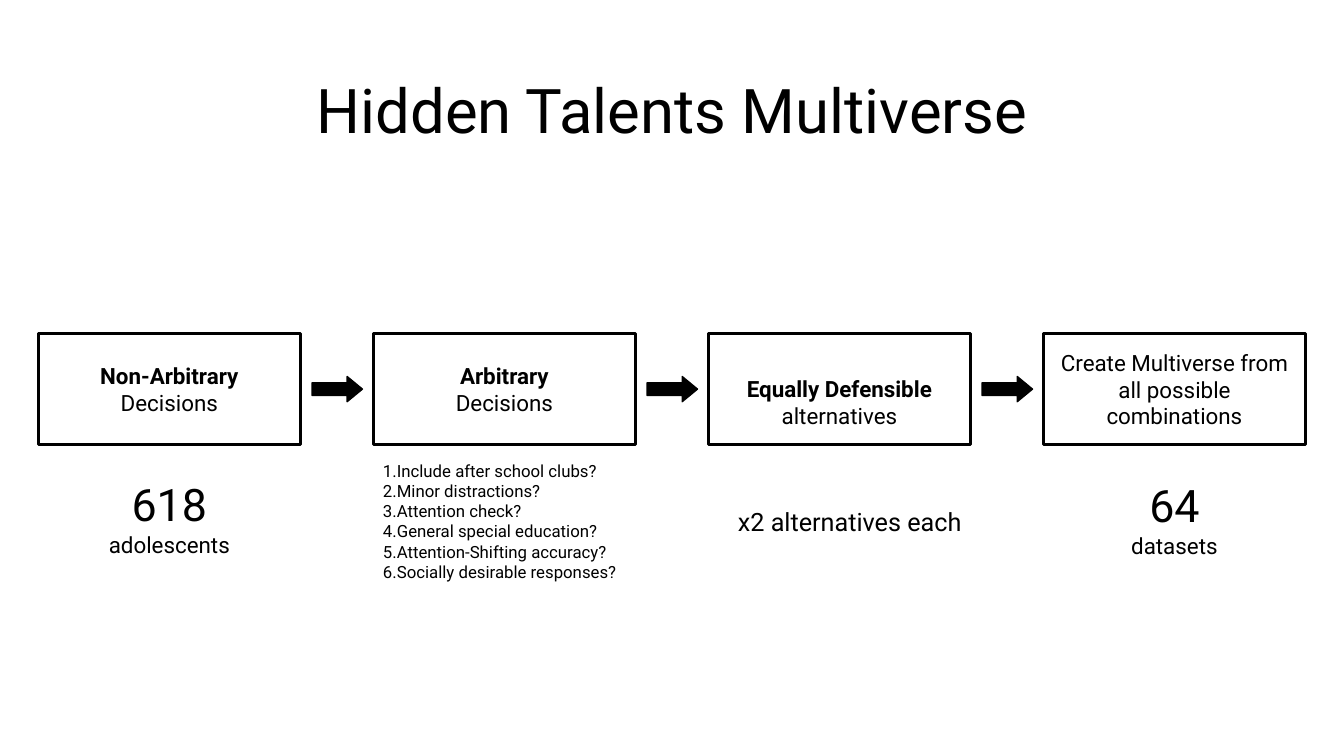
import pptx
import pptx.util
import pptx.dml.color
import pptx.enum.shapes
import pptx.enum.text
import pptx.oxml

Inches = pptx.util.Inches
Pt = pptx.util.Pt
SHAPES = pptx.enum.shapes.MSO_SHAPE
ALIGN = pptx.enum.text.PP_ALIGN
ANCHOR = pptx.enum.text.MSO_ANCHOR
AUTO_SIZE = pptx.enum.text.MSO_AUTO_SIZE

FONT = "Roboto"
COLORS = {"ink": "000000", "paper": "FFFFFF"}
NUMBERING = ('<a:buAutoNum xmlns:a="http://schemas.openxmlformats.org/'
             'drawingml/2006/main" type="arabicPeriod"/>')

STEP_LEFT, STEP_PITCH = 0.38, 3.323
STEP_TOP, STEP_WIDTH, STEP_HEIGHT = 3.31, 2.6, 1.1
BLANK_LINE = 0.26

# Each step is a list of lines: text, bold
STEPS = [
    [("Non-Arbitrary", True), ("Decisions", False)],
    [("Arbitrary", True), ("Decisions", False)],
    [("Equally Defensible", True), ("alternatives", False)],
    [("Create Multiverse from all possible combinations", False)],
]
QUESTIONS = [
    "Include after school clubs?",
    "Minor distractions?",
    "Attention check?",
    "General special education?",
    "Attention-Shifting accuracy?",
    "Socially desirable responses?",
]


def color(name):
    return pptx.dml.color.RGBColor.from_string(COLORS[name])


def write_lines(frame, lines, align):
    """Write one paragraph for each line of text, size and bold."""
    for index, (text, size, bold) in enumerate(lines):
        para = frame.paragraphs[0] if index == 0 else frame.add_paragraph()
        para.alignment = align
        span = para.add_run()
        span.text = text
        span.font.name = FONT
        span.font.size = Pt(size)
        span.font.bold = bold
        span.font.color.rgb = color("ink")


def add_text(page, left, top, width, height, lines, align=ALIGN.LEFT):
    box = page.shapes.add_textbox(Inches(left), Inches(top), Inches(width), Inches(height))
    box.text_frame.word_wrap = True
    write_lines(box.text_frame, lines, align)
    return box.text_frame


def add_block(page, kind, left, top, width, height, fill, line_width=None):
    block = page.shapes.add_shape(
        kind, Inches(left), Inches(top), Inches(width), Inches(height))
    block.shadow.inherit = False
    block.fill.solid()
    block.fill.fore_color.rgb = color(fill)
    if line_width is None:
        block.line.fill.background()
    else:
        block.line.color.rgb = color("ink")
        block.line.width = Pt(line_width)
    return block


def add_title(page, left, top, width, height):
    frame = add_text(page, left, top, width, height,
                     [("Hidden Talents Multiverse", 44, False)], ALIGN.CENTER)
    frame.vertical_anchor = ANCHOR.MIDDLE
    frame.paragraphs[0].line_spacing = 0.9


def add_step(page, left, top, lines):
    step = add_block(page, SHAPES.RECTANGLE, left, top, STEP_WIDTH, STEP_HEIGHT, "paper", 2.25)
    write_lines(step.text_frame, [(text, 16, bold) for text, bold in lines], ALIGN.CENTER)
    return step.text_frame


def add_step_arrow(page, left, top):
    arrow = add_block(page, SHAPES.DOWN_ARROW, left, top, 0.25, 0.5, "ink", 1)
    arrow.rotation = 270
    arrow.adjustments[0] = 0.5
    arrow.adjustments[1] = 0.605


def add_flow(page, left, top):
    for index, lines in enumerate(STEPS):
        step_left = left + index * STEP_PITCH
        frame = add_step(page, step_left, top, lines)
        if lines[0][0] == "Equally Defensible":
            frame.margin_top = Inches(0.05 + BLANK_LINE)
        if index < len(STEPS) - 1:
            add_step_arrow(page, step_left + 2.84, top + 0.3)


def add_count(page, left, top, number, label):
    count = add_block(page, SHAPES.ROUNDED_RECTANGLE, left, top, STEP_WIDTH, 1.1, "paper")
    count.text_frame.vertical_anchor = ANCHOR.TOP
    write_lines(count.text_frame, [(number, 32, False), (label, 16, False)], ALIGN.CENTER)


def add_questions(page, left, top, width, height):
    frame = add_text(page, left, top, width, height,
                     [(question, 12, False) for question in QUESTIONS])
    frame.auto_size = AUTO_SIZE.SHAPE_TO_FIT_TEXT
    for para in frame.paragraphs:
        properties = para._p.get_or_add_pPr()
        properties.set("marL", "0")
        properties.set("indent", str(-Inches(0.26)))
        properties.append(pptx.oxml.parse_xml(NUMBERING))


def add_alternatives(page, left, top, width, height):
    frame = add_text(page, left, top, width, height, [("x2 alternatives each", 18, False)])
    frame.word_wrap = False
    frame.auto_size = AUTO_SIZE.SHAPE_TO_FIT_TEXT


def main():
    deck = pptx.Presentation()
    deck.slide_width, deck.slide_height = Inches(13.33), Inches(7.5)
    page = deck.slides.add_slide(deck.slide_layouts[6])

    add_title(page, 0.92, 0.4, 11.5, 1.45)
    add_flow(page, STEP_LEFT, STEP_TOP)

    # Details below the steps
    add_count(page, STEP_LEFT, 4.63, "618", "adolescents")
    add_questions(page, 3.7, 4.52, 2.71, 1.31)
    add_alternatives(page, 7.22, 4.97, 2.45, 0.4)
    add_count(page, STEP_LEFT + 3 * STEP_PITCH, 4.64, "64", "datasets")

    deck.save("out.pptx")


if __name__ == "__main__":
    main()
